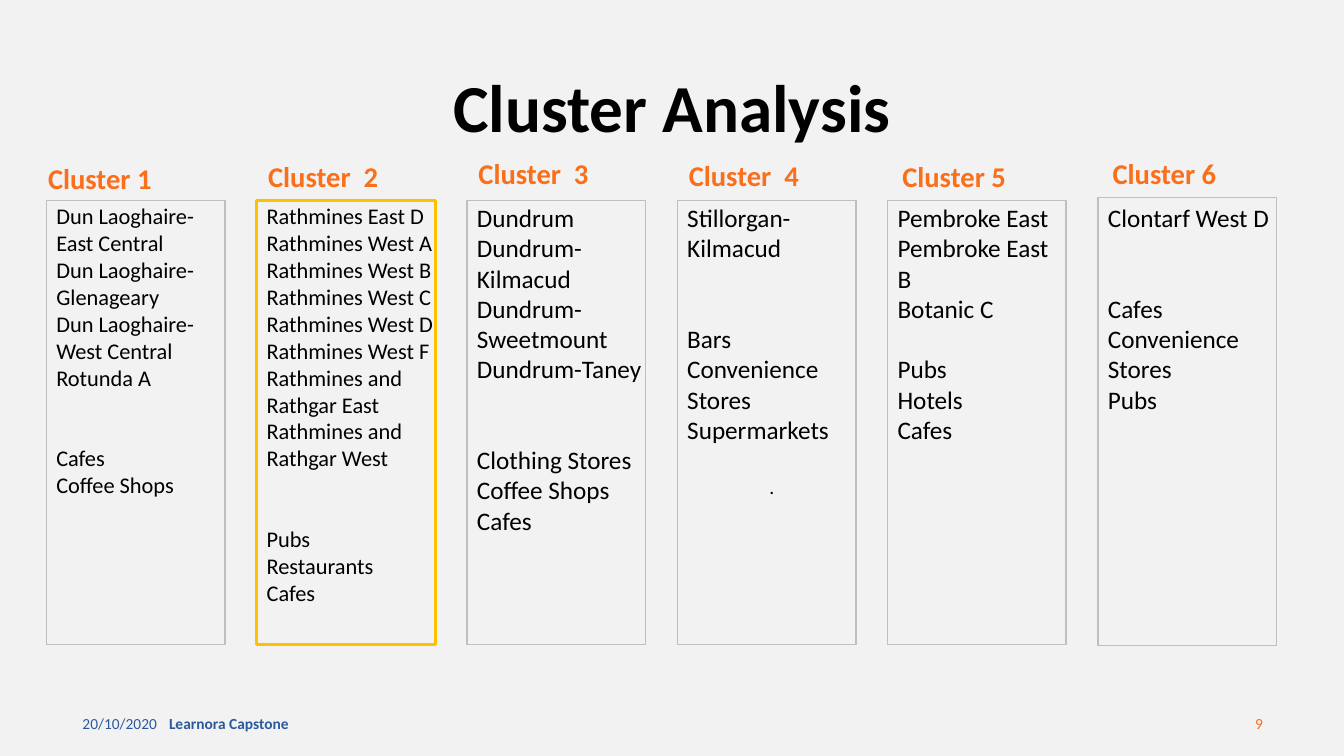
from pptx import Presentation
from pptx.dml.color import RGBColor
from pptx.enum.shapes import MSO_SHAPE
from pptx.enum.text import MSO_ANCHOR, PP_ALIGN
from pptx.util import Cm, Pt

PALE = RGBColor(0xF2, 0xF2, 0xF2)
BLACK = RGBColor(0, 0, 0)
BLUE = RGBColor(0x2C, 0x59, 0x9D)
ORANGE = RGBColor(0xFA, 0x6F, 0x1A)
GOLD = RGBColor(0xFF, 0xC0, 0x00)
GREY = RGBColor(0xBF, 0xBF, 0xBF)

LEFT, PITCH, WIDTH = 1.17, 5.3, 4.52
LINE = 1.2

CLUSTERS = [
    dict(name="Cluster 1", size=16, gap=2, shift=-0.33, top=3.86,
         areas=["Dun Laoghaire-East Central", "Dun Laoghaire-Glenageary",
                "Dun Laoghaire-West Central", "Rotunda A"],
         venues=["Cafes", "Coffee Shops"]),
    dict(name="Cluster  2", size=16, gap=2, top=3.81, edge=GOLD, weight=2.25,
         areas=["Rathmines East D", "Rathmines West A", "Rathmines West B",
                "Rathmines West C", "Rathmines West D", "Rathmines West F",
                "Rathmines and Rathgar East", "Rathmines and Rathgar West"],
         venues=["Pubs", "Restaurants", "Cafes"]),
    dict(name="Cluster  3", size=18, gap=2, top=3.73,
         areas=["Dundrum", "Dundrum-Kilmacud", "Dundrum-Sweetmount",
                "Dundrum-Taney"],
         venues=["Clothing Stores", "Coffee Shops", "Cafes"]),
    dict(name="Cluster  4", size=18, gap=2, top=3.78,
         areas=["Stillorgan-Kilmacud"],
         venues=["Bars", "Convenience Stores", "Supermarkets"], end="."),
    dict(name="Cluster 5", size=18, gap=1, top=3.81,
         areas=["Pembroke East", "Pembroke East B", "Botanic C"],
         venues=["Pubs", "Hotels", "Cafes"]),
    dict(name="Cluster 6", size=18, gap=2, top=3.73, box=(4.98, 11.28),
         areas=["Clontarf West D"],
         venues=["Cafes", "Convenience Stores", "Pubs"]),
]


def write(para, text, size=18, color=BLACK, bold=False,
          align=PP_ALIGN.LEFT, space=1.0, before=0):
    para.alignment = align
    para.line_spacing = space
    para.space_before = Pt(before)
    run = para.add_run()
    run.text = text
    run.font.name = "Calibri"
    run.font.size = Pt(size)
    run.font.bold = bold
    run.font.color.rgb = color


class Board:
    """Draw text, frames and lists on one slide in a shared style."""

    def __init__(self, slide):
        self.slide = slide
        fill = slide.background.fill
        fill.solid()
        fill.fore_color.rgb = PALE

    def frame(self, left, top, width, height, wrap=True):
        box = self.slide.shapes.add_textbox(
            Cm(left), Cm(top), Cm(width), Cm(height))
        box.text_frame.word_wrap = wrap
        return box.text_frame

    def label(self, text, left, top, width, height, wrap=True, **style):
        frame = self.frame(left, top, width, height, wrap)
        frame.vertical_anchor = MSO_ANCHOR.MIDDLE
        write(frame.paragraphs[0], text, **style)

    def panel(self, left, top, height, edge, weight):
        rect = self.slide.shapes.add_shape(
            MSO_SHAPE.RECTANGLE, Cm(left), Cm(top), Cm(4.5), Cm(height))
        rect.shadow.inherit = False
        rect.fill.background()
        rect.line.color.rgb = edge
        rect.line.width = Pt(weight)

    def places(self, left, areas, venues, size, gap, end=None):
        frame = self.frame(left, 4.98, WIDTH, 9)
        frame.margin_right = 0
        for i, text in enumerate(areas + venues):
            para = frame.add_paragraph() if i else frame.paragraphs[0]
            skip = gap * size * LINE if i == len(areas) else 0
            write(para, text, size=size, before=skip)
        if end:
            write(frame.add_paragraph(), end, size=14,
                  align=PP_ALIGN.CENTER, before=size * LINE)

    def column(self, left, data):
        top, height = data.get("box", (5.05, 11.2))
        self.panel(left, top, height, data.get("edge", GREY),
                   data.get("weight", 1))
        self.places(left, data["areas"], data["venues"], data["size"],
                    data["gap"], data.get("end"))
        self.label(data["name"], left + data.get("shift", 0), data["top"],
                   3.35, 1.4, wrap=False, size=20.4, color=ORANGE, bold=True,
                   align=PP_ALIGN.CENTER, space=0.8)


def main():
    deck = Presentation()
    deck.slide_width, deck.slide_height = Cm(33.87), Cm(19.05)
    board = Board(deck.slides.add_slide(deck.slide_layouts[6]))
    board.label("Cluster Analysis", 1.19, 1.8, 31.5, 1.96, size=48,
                bold=True, align=PP_ALIGN.CENTER, space=0.9)
    for i, data in enumerate(CLUSTERS):
        board.column(LEFT + PITCH * i, data)
    board.label("20/10/2020", 1.83, 17.73, 7.62, 1.02, size=11, color=BLUE)
    board.label("Learnora Capstone", 4.01, 17.73, 11.43, 1.02, size=11,
                color=BLUE, bold=True)
    board.label("9", 24.46, 17.73, 7.62, 1.02, size=11, color=ORANGE,
                align=PP_ALIGN.RIGHT)
    deck.save("out.pptx")


if __name__ == "__main__":
    main()
